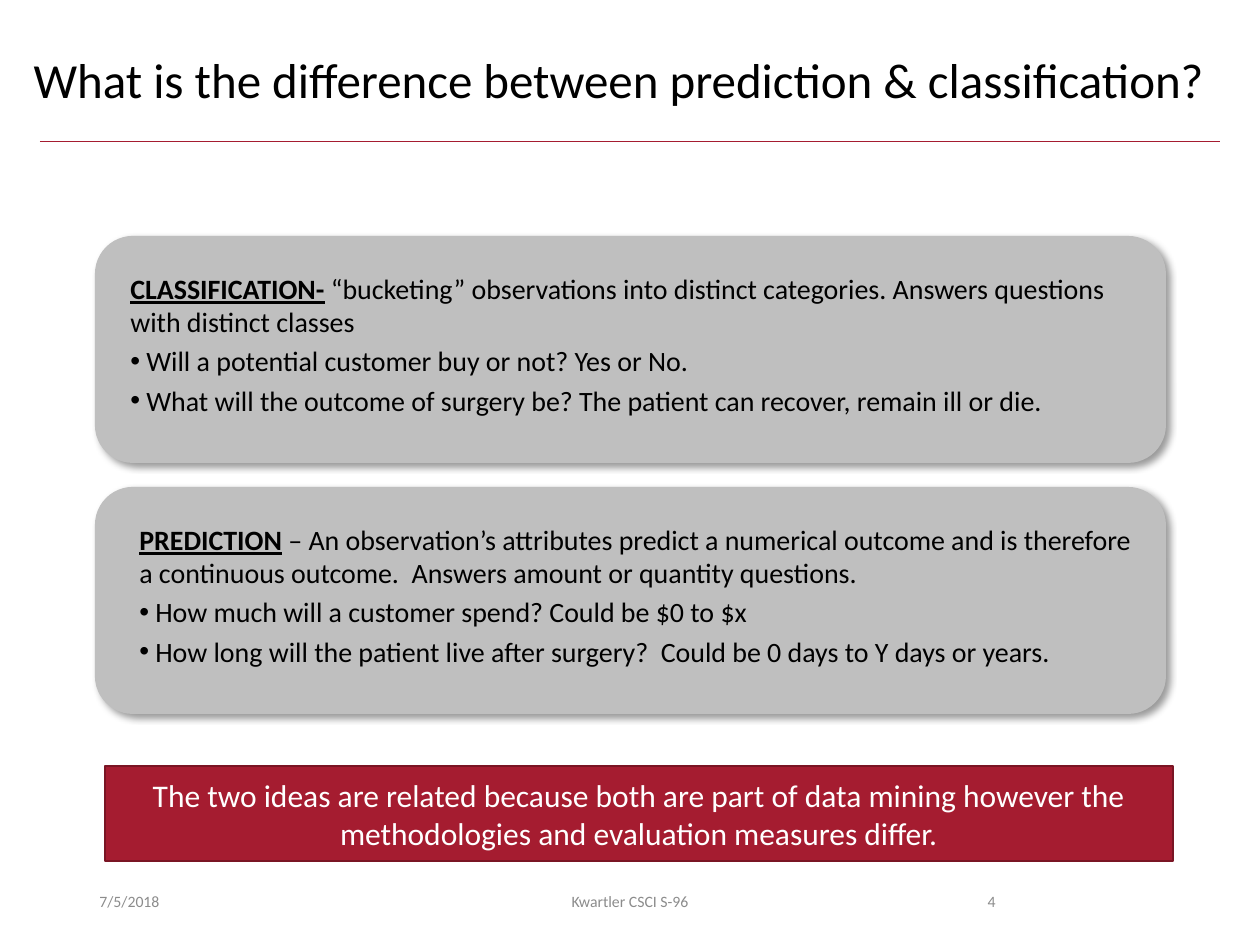
from dataclasses import dataclass

from lxml.etree import SubElement
from pptx import Presentation
from pptx.dml.color import RGBColor
from pptx.enum.shapes import MSO_CONNECTOR, MSO_SHAPE
from pptx.enum.text import MSO_ANCHOR, MSO_AUTO_SIZE, PP_ALIGN
from pptx.oxml import parse_xml
from pptx.oxml.ns import nsdecls, qn
from pptx.util import Emu, Pt

PX_PER_INCH = 126


@dataclass(frozen=True)
class Theme:
    font: str = "Calibri"
    ink: str = "000000"
    paper: str = "FFFFFF"
    panel: str = "BFBFBF"
    accent: str = "A51C30"
    accent_edge: str = "7A1524"
    muted: str = "8C8C8C"
    title: int = 28
    banner: int = 18
    body: int = 16
    footer: int = 9


def px(length):
    return Emu(round(length * 914400 / PX_PER_INCH))


def assign(target, values):
    for name, value in values.items():
        setattr(target, name, value)


class SlideBuilder:
    def __init__(self, page, theme):
        self.page = page
        self.theme = theme

    def place(self, shape, box):
        assign(shape, dict(zip(("left", "top", "width", "height"), map(px, box))))

    def frame(self, shape, anchor=MSO_ANCHOR.TOP):
        assign(shape.text_frame, {"word_wrap": True, "auto_size": MSO_AUTO_SIZE.NONE,
                                  "vertical_anchor": anchor})
        return shape.text_frame

    def add_span(self, para, text, size, color, align=PP_ALIGN.LEFT, **extra):
        para.alignment = align
        span = para.add_run()
        span.text = text
        assign(span.font, {"name": self.theme.font, "size": Pt(size), **extra})
        span.font.color.rgb = RGBColor.from_string(color)

    def title(self, text, box):
        shape = self.page.shapes.title
        self.place(shape, box)
        para = self.frame(shape).paragraphs[0]
        para.line_spacing = 0.9
        self.add_span(para, text, self.theme.title, self.theme.ink)

    def rule(self, left, right, y):
        line = self.page.shapes.add_connector(
            MSO_CONNECTOR.STRAIGHT, px(left), px(y), px(right), px(y))
        line.line.color.rgb = RGBColor.from_string(self.theme.accent)
        line.line.width = Pt(0.5)
        SubElement(line._element.spPr, qn("a:effectLst"))

    def block(self, kind, box, fill):
        shape = self.page.shapes.add_shape(kind, *map(px, box))
        shape.shadow.inherit = False
        shape.fill.solid()
        shape.fill.fore_color.rgb = RGBColor.from_string(fill)
        shape.line.fill.background()
        return shape

    def panel(self, box):
        shape = self.block(MSO_SHAPE.ROUNDED_RECTANGLE, box, self.theme.panel)
        effects = shape._element.spPr.find(qn("a:effectLst"))
        effects.append(parse_xml(
            f'<a:outerShdw {nsdecls("a")} blurRad="{Pt(4)}" dist="{Pt(3)}" '
            f'dir="{45 * 60000}" algn="tl" rotWithShape="0">'
            f'<a:srgbClr val="{self.theme.ink}"><a:alpha val="40000"/></a:srgbClr>'
            '</a:outerShdw>'))

    def banner(self, text, box):
        shape = self.block(MSO_SHAPE.RECTANGLE, box, self.theme.accent)
        shape.line.color.rgb = RGBColor.from_string(self.theme.accent_edge)
        shape.line.width = Pt(1)
        para = self.frame(shape, MSO_ANCHOR.MIDDLE).paragraphs[0]
        self.add_span(para, text, self.theme.banner, self.theme.paper, PP_ALIGN.CENTER)

    def bullet(self, para):
        properties = para._p.get_or_add_pPr()
        properties.set("marL", str(px(16)))
        properties.set("indent", str(-px(16)))
        SubElement(properties, qn("a:buFont"), typeface="Arial")
        SubElement(properties, qn("a:buChar"), char="•")

    def definition(self, term, meaning, examples, box):
        theme = self.theme
        text_frame = self.frame(self.page.shapes.add_textbox(*map(px, box)))
        para = text_frame.paragraphs[0]
        para.space_before = Pt(theme.body * 0.2)
        self.add_span(para, term, theme.body, theme.ink, bold=True, underline=True)
        self.add_span(para, meaning, theme.body, theme.ink)
        for example in examples:
            para = text_frame.add_paragraph()
            para.space_before = Pt(theme.body * 0.2)
            self.bullet(para)
            self.add_span(para, example, theme.body, theme.ink)

    def footer(self, text, left, width, align):
        shape = self.page.shapes.add_textbox(*map(px, (left, 876, width, 50)))
        para = self.frame(shape, MSO_ANCHOR.MIDDLE).paragraphs[0]
        self.add_span(para, text, self.theme.footer, self.theme.muted, align)


DEFINITIONS = [
    ("CLASSIFICATION-",
     " “bucketing” observations into distinct categories. Answers questions with distinct classes",
     ["Will a potential customer buy or not? Yes or No.",
      "What will the outcome of surgery be? The patient can recover, remain ill or die."],
     118),
    ("PREDICTION",
     " – An observation’s attributes predict a numerical outcome and is therefore "
     "a continuous outcome.  Answers amount or quantity questions.",
     ["How much will a customer spend? Could be $0 to $x",
      "How long will the patient live after surgery?  Could be 0 days to Y days or years."],
     127),
]

FOOTERS = [
    ("7/5/2018", 87, 284, PP_ALIGN.LEFT),
    ("Kwartler CSCI S-96", 417, 426, PP_ALIGN.CENTER),
    ("4", 890, 118, PP_ALIGN.RIGHT),
]


def main():
    deck = Presentation()
    assign(deck, {"slide_width": px(1260), "slide_height": px(945)})
    slide = SlideBuilder(deck.slides.add_slide(deck.slide_layouts[5]), Theme())

    slide.rule(40, 1220, 141)
    slide.title("What is the difference between prediction & classification?",
                (21, 50, 1207, 82))
    for row, (term, meaning, examples, text_left) in enumerate(DEFINITIONS):
        top = 236 + row * 251
        slide.panel((95, top, 1071, 227))
        slide.definition(term, meaning, examples, (text_left, top + 29, 1023, 171))
    slide.banner("The two ideas are related because both are part of data mining however "
                 "the methodologies and evaluation measures differ.", (105, 766, 1068, 95))
    for item in FOOTERS:
        slide.footer(*item)

    deck.save("out.pptx")


if __name__ == "__main__":
    main()
